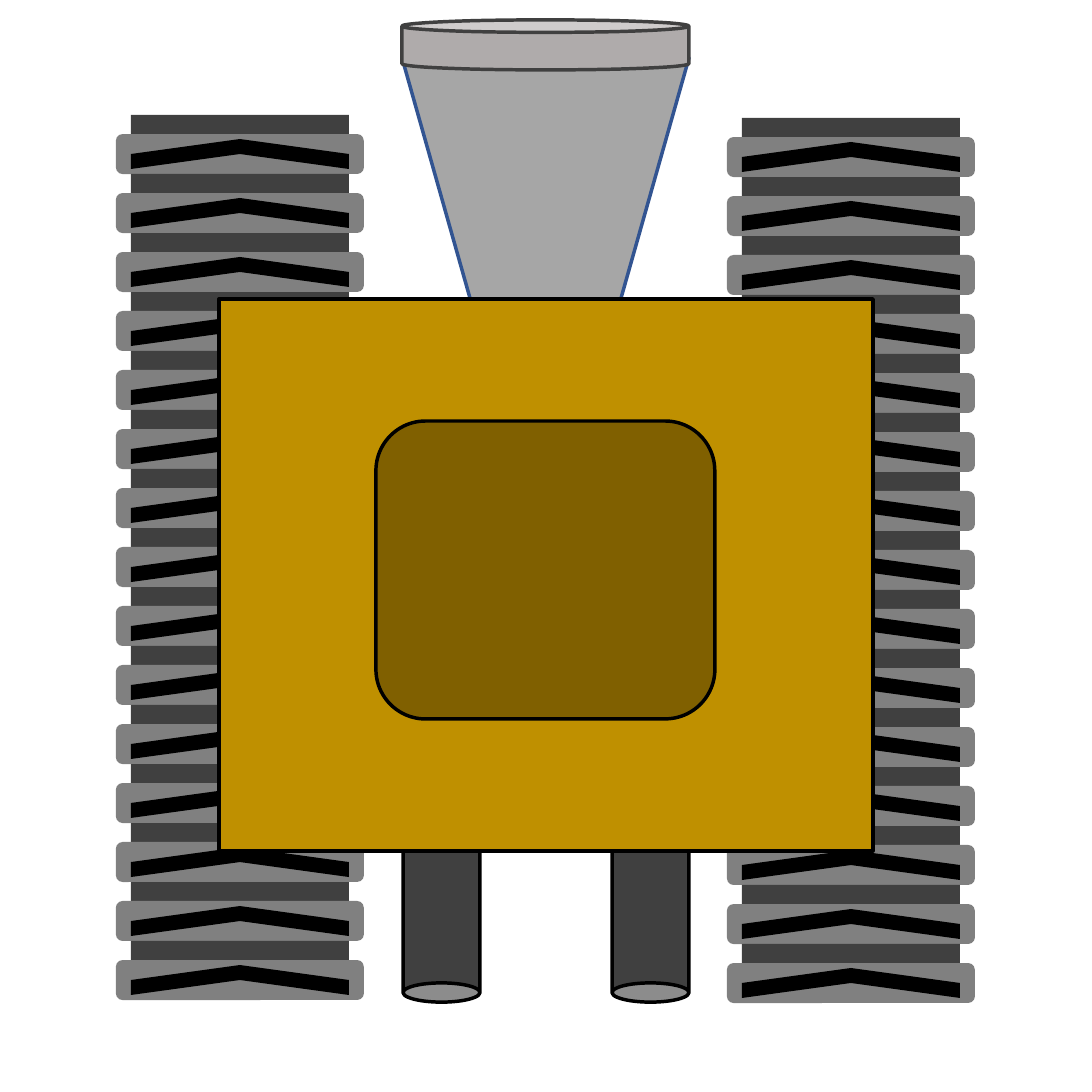
from pptx import Presentation
from pptx.dml.color import RGBColor
from pptx.enum.shapes import MSO_SHAPE
from pptx.util import Pt

RECT = MSO_SHAPE.RECTANGLE
ROUND = MSO_SHAPE.ROUNDED_RECTANGLE
CHEVRON = MSO_SHAPE.CHEVRON
CAN = MSO_SHAPE.CAN
TRAP = MSO_SHAPE.TRAPEZOID
SCALE = 914400 / 252.2
HUES = {
    "black": "000000", "dark": "404040", "grey": "808080",
    "steel": "A6A6A6", "rim": "AFABAB", "blue": "325491",
    "gold": "BF9000", "brown": "806000",
}


def px(n):
    return round(n * SCALE)


def draw(group, kind, box, fill, line=None, turn=0):
    shape = group.shapes.add_shape(kind, *map(px, box))
    shape.shadow.inherit = False
    shape.rotation = turn
    shape.fill.solid()
    shape.fill.fore_color.rgb = RGBColor.from_string(HUES[fill])
    if line:
        shape.line.color.rgb = RGBColor.from_string(HUES[line])
        shape.line.width = Pt(1)
    else:
        shape.line.fill.background()
    return shape


deck = Presentation()
deck.slide_width = deck.slide_height = px(1092)
slide = deck.slides.add_slide(deck.slide_layouts[6])

ROWS, PITCH = 15, 59
for left, top in ((727, 137), (116, 134)):
    track = slide.shapes.add_group_shape()
    for row in range(ROWS):
        y = top + row * PITCH
        draw(track, RECT, (left + 15, y - 19, 218, 20), "dark")
        draw(track, ROUND, (left, y, 248, 40), "grey")
        draw(track, CHEVRON, (left + 109, y - 89, 30, 218), "black", turn=270)

body = slide.shapes.add_group_shape()
for left in (612, 403):
    draw(body, CAN, (left, 724, 77, 278), "dark", "black", 180)
barrel = draw(body, TRAP, (402, 58, 287, 507), "steel", "blue", 180)
barrel.adjustments[0] = 0.5
draw(body, RECT, (219, 299, 654, 552), "gold", "black")
draw(body, ROUND, (376, 421, 339, 298), "brown", "black")
draw(body, CAN, (402, 20, 287, 50), "rim", "dark")

deck.save("out.pptx")
